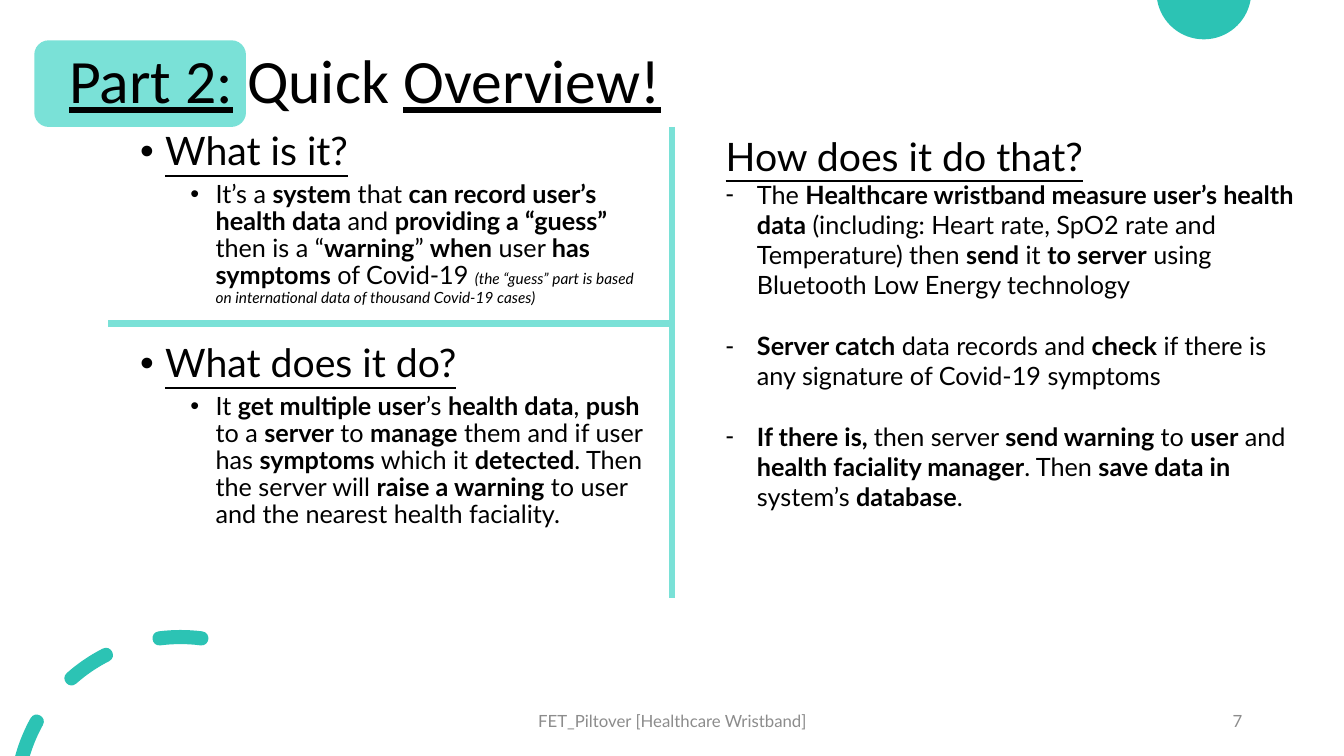
from math import cos, radians, sin, tan

from lxml import etree
from pptx import Presentation
from pptx.dml.color import RGBColor
from pptx.enum.shapes import MSO_CONNECTOR, MSO_SHAPE
from pptx.enum.text import MSO_ANCHOR, PP_ALIGN
from pptx.oxml.ns import qn
from pptx.util import Inches, Pt

TOP, MIDDLE = MSO_ANCHOR.TOP, MSO_ANCHOR.MIDDLE
LEFT, CENTER, RIGHT = PP_ALIGN.LEFT, PP_ALIGN.CENTER, PP_ALIGN.RIGHT

TITLE = (("Part 2:", True), (" Quick ", False), ("Overview!", True))
OVERVIEW = (
    (
        "What is it?",
        "It’s a *system* that *can record user’s health data* and *providing a “guess” *"
        "then is a “*warning*” *when* user *has symptoms* of Covid-19 ",
        "(the “guess” part is based on international data of thousand Covid-19 cases)",
    ),
    (
        "What does it do?",
        "It *get multiple user*’s *health data*, *push* to a *server* to *manage* them and "
        "if user has *symptoms* which it *detected*. Then the server will "
        "*raise a warning* to user and the nearest health faciality.",
        "",
    ),
)
METHOD_HEADING = "How does it do that?"
METHOD_STEPS = (
    "The *Healthcare wristband measure user’s health data* (including: Heart rate, SpO2 rate "
    "and Temperature) then *send* it *to server* using Bluetooth Low Energy technology",
    "*Server catch* data records and *check* if there is any signature of Covid-19 symptoms",
    "*If there is, *then server *send warning *to *user* and *health faciality manager*. "
    "Then *save data in* system’s *database*.",
)
FOOTER = "FET_Piltover [Healthcare Wristband]"
PAGE = "7"

THEME = {
    "teal": RGBColor(0x2C, 0xC3, 0xB4),
    "mint": RGBColor(0x7A, 0xE1, 0xD7),
    "ink": RGBColor(0, 0, 0),
    "muted": RGBColor(0x8C, 0x8C, 0x8C),
    "title_font": "Calibri",
    "body_font": "Lato",
    "title": 44, "heading": 28, "body": 18, "note": 11, "footer": 12,
    "rule": 4.5,
}

WIDTH, HEIGHT = 13.33, 7.5
AXIS = WIDTH / 2
TITLE_ROW, BODY_ROW, SPLIT_ROW, BODY_END, FOOTER_ROW = 0.4, 1.26, 3.21, 5.93, 6.95
TITLE_HEIGHT = BODY_ROW - TITLE_ROW
FOOTER_HEIGHT = 0.4
RING_X, RING_Y, RING_RADIUS, DASH_HALF = 1.79, 7.95, 1.63, 0.07
DASHES = ((-74.65, -73.2, -61), (-41.5, -41.5, -27), (-7.3, -7.3, 7.3))

deck = Presentation()
deck.slide_width, deck.slide_height = Inches(WIDTH), Inches(HEIGHT)
slide = deck.slides.add_slide(deck.slide_layouts[6])


def assign(target, **values):
    for name, value in values.items():
        setattr(target, name, value)


def paint(shape, colour):
    shape.shadow.inherit = False
    shape.fill.solid()
    shape.fill.fore_color.rgb = colour
    shape.line.fill.background()


def on_circle(cx, cy, radius, degrees):
    return cx + radius * sin(radians(degrees)), cy - radius * cos(radians(degrees))


def curve(cx, cy, radius, start, end):
    pull = 4 / 3 * tan(radians(end - start) / 4)
    (x1, y1), (x2, y2) = [on_circle(cx, cy, radius, a) for a in (start, end)]
    return [
        (x1 - pull * (y1 - cy), y1 + pull * (x1 - cx)),
        (x2 + pull * (y2 - cy), y2 - pull * (x2 - cx)),
        (x2, y2),
    ]


def ring_dash(start, inner_start, end):
    outer, inner = RING_RADIUS + DASH_HALF, RING_RADIUS - DASH_HALF
    tail, head = [on_circle(RING_X, RING_Y, RING_RADIUS, a) for a in (start, end)]
    points = [on_circle(RING_X, RING_Y, outer, start)]
    points += curve(RING_X, RING_Y, outer, start, end)
    points += curve(*head, DASH_HALF, end, end + 180)
    points += curve(RING_X, RING_Y, inner, end, inner_start)
    if start == inner_start:
        points += curve(*tail, DASH_HALF, start + 180, start + 360)
    return points


def draw_curves(outlines, colour):
    builder = None
    for outline in outlines:
        points = [(Inches(x), Inches(y)) for x, y in outline]
        if builder is None:
            builder = slide.shapes.build_freeform(*points[0])
        else:
            builder.move_to(*points[0])
        builder.add_line_segments(points[1:], close=True)
    shape = builder.convert_to_shape()
    segments = list(shape._element.iter(qn("a:lnTo")))
    for first, second, third in zip(*[iter(segments)] * 3):
        bezier = etree.Element(qn("a:cubicBezTo"))
        first.addprevious(bezier)
        for segment in (first, second, third):
            bezier.append(segment[0])
            segment.getparent().remove(segment)
    paint(shape, colour)


def text_frame(x, y, width, height, anchor=TOP):
    box = slide.shapes.add_textbox(*map(Inches, (x, y, width, height)))
    assign(box.text_frame, word_wrap=True, vertical_anchor=anchor)
    return box.text_frame


def add_paragraph(frame, before=0, spacing=1.0, align=LEFT, bullet="", margin=0, hang=0.25):
    first = frame.paragraphs[0]
    paragraph = frame.add_paragraph() if first.runs else first
    assign(paragraph, space_before=Pt(before), line_spacing=spacing, alignment=align)
    if bullet:
        props = paragraph._p.get_or_add_pPr()
        props.set("marL", str(Inches(margin)))
        props.set("indent", str(-Inches(hang)))
        etree.SubElement(props, qn("a:buFont")).set("typeface", "Arial")
        etree.SubElement(props, qn("a:buChar")).set("char", bullet)
    return paragraph


def add_run(paragraph, text, size, font="body_font", colour="ink", **styles):
    run = paragraph.add_run()
    run.text = text
    assign(run.font, name=THEME[font], size=Pt(THEME[size]), **styles)
    run.font.color.rgb = THEME[colour]


def add_marked(paragraph, marked):
    for index, part in enumerate(marked.split("*")):
        if part:
            add_run(paragraph, part, "body", bold=index % 2 == 1)


def add_rule(*ends):
    rule = slide.shapes.add_connector(MSO_CONNECTOR.STRAIGHT, *map(Inches, ends))
    rule.line.color.rgb = THEME["mint"]
    rule.line.width = Pt(THEME["rule"])
    etree.SubElement(rule._element.spPr, qn("a:effectLst"))


disc = (11.94, -0.08, 0.47)
draw_curves(
    [[on_circle(*disc, 99.8)] + curve(*disc, 99.8, 180) + curve(*disc, 180, 260.2)],
    THEME["teal"],
)
draw_curves([ring_dash(*angles) for angles in DASHES], THEME["teal"])

highlight = slide.shapes.add_shape(
    MSO_SHAPE.ROUNDED_RECTANGLE, *map(Inches, (0.34, TITLE_ROW, 2.1, TITLE_HEIGHT)))
paint(highlight, THEME["mint"])

title = add_paragraph(text_frame(0.59, TITLE_ROW, 11.5, TITLE_HEIGHT, MIDDLE), spacing=0.9)
for words, underlined in TITLE:
    add_run(title, words, "title", "title_font", underline=underlined)

overview = text_frame(1.29, BODY_ROW, 5.29, 5.05)
for (heading, answer, note), before in zip(OVERVIEW, (10, 26.5)):
    add_run(add_paragraph(overview, before, 0.9, bullet="•", margin=0.25),
            heading, "heading", underline=True)
    detail = add_paragraph(overview, 5, 0.9, bullet="•", margin=0.75)
    add_marked(detail, answer)
    if note:
        add_run(detail, note, "note", italic=True)

for words, x, width, align in ((FOOTER, 4.42, 4.5, CENTER), (PAGE, 9.42, 3, RIGHT)):
    frame = text_frame(x, FOOTER_ROW, width, FOOTER_HEIGHT, MIDDLE)
    add_run(add_paragraph(frame, align=align), words, "footer", colour="muted")

method = text_frame(7.1, BODY_ROW, 5.84, 3.9)
add_run(add_paragraph(method), METHOD_HEADING, "heading", underline=True)
for step, before in zip(METHOD_STEPS, (0, 21.6, 21.6)):
    add_marked(add_paragraph(method, before, bullet="-", margin=0.31, hang=0.31), step)

add_rule(AXIS, BODY_ROW, AXIS, BODY_END)
add_rule(AXIS, SPLIT_ROW, 1.07, SPLIT_ROW)

deck.save("out.pptx")
